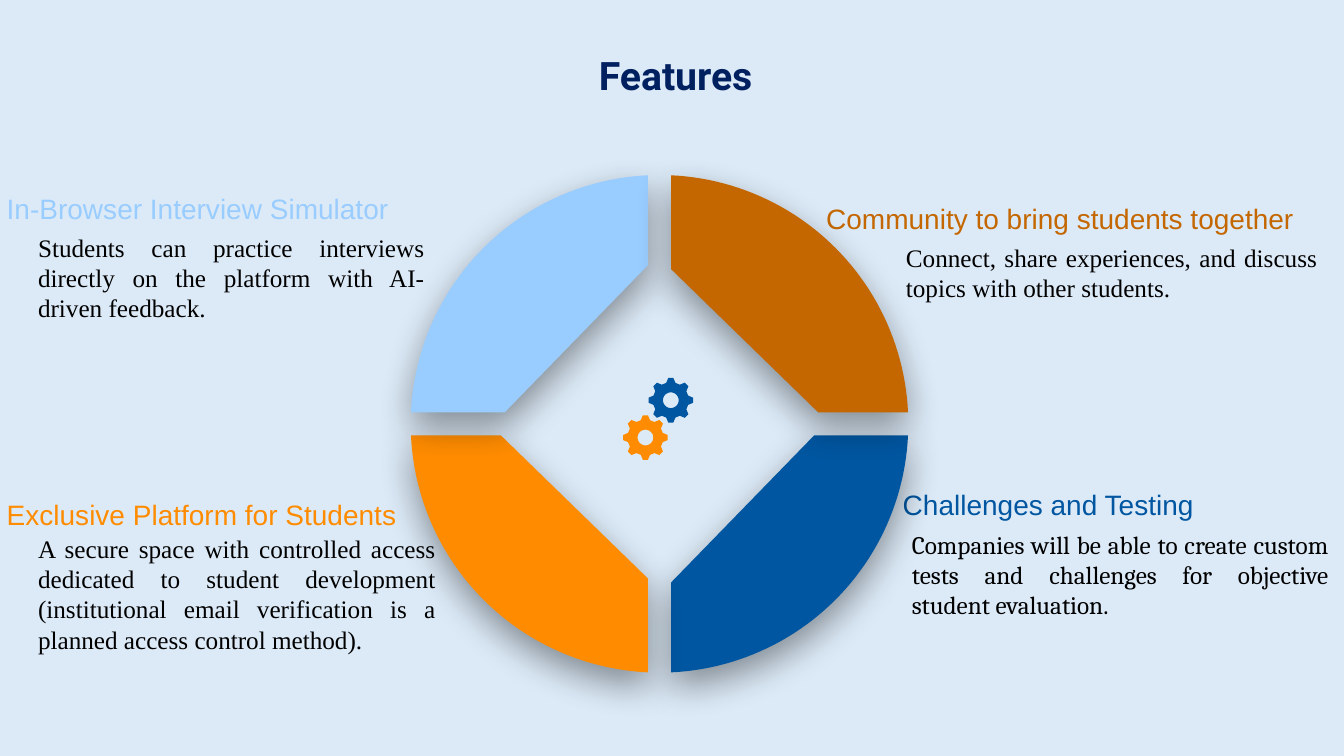
import math
from dataclasses import dataclass

import pptx
import pptx.dml.color
import pptx.enum.text
import pptx.util
from lxml import etree
from pptx.oxml.ns import qn

Cm = pptx.util.Cm
Align = pptx.enum.text.PP_ALIGN


@dataclass(frozen=True)
class Theme:
    background: str = "DCEAF7"
    title: str = "002060"
    text: str = "000000"
    brown: str = "C46700"
    sky: str = "99CCFF"
    orange: str = "FF8C00"
    blue: str = "0056A0"
    title_size: int = 28
    heading_size: int = 20
    body_size: int = 18


THEME = Theme()

# Heading box, then body box as (left, top) offset from it, width and height, in cm
FEATURES = [
    ("Community to bring students together", THEME.brown, (20.57, 4.95, 13.49, 1.12),
     "Connect, share experiences, and discuss topics with other students.",
     "Times New Roman", (2.01, 1.02, 10.87, 1.8)),
    ("In-Browser Interview Simulator", THEME.sky, (-0.08, 4.7, 11.35, 1.12),
     "Students can practice interviews directly on the platform with AI-driven feedback.",
     "Times New Roman", (0.79, 1.02, 10.24, 2.57)),
    ("Exclusive Platform for Students", THEME.orange, (-0.08, 12.4, 11.35, 1.12),
     "A secure space with controlled access dedicated to student development "
     "(institutional email verification is a planned access control method).",
     "Times New Roman", (0.79, 0.91, 10.52, 3.33)),
    ("Challenges and Testing", THEME.blue, (22.5, 12.17, 12.04, 1.12),
     "Companies will be able to create custom tests and challenges "
     "for objective student evaluation.",
     "Cambria", (0.23, 1.04, 11, 2.57)),
]


def rgb(color):
    return pptx.dml.color.RGBColor.from_string(color)


def write_text(shape, text, *, size, font, color, align=Align.LEFT, bold=False):
    frame = shape.text_frame
    frame.word_wrap = True
    frame.auto_size = pptx.enum.text.MSO_AUTO_SIZE.NONE
    frame.vertical_anchor = pptx.enum.text.MSO_ANCHOR.TOP
    paragraph = frame.paragraphs[0]
    paragraph.alignment = align
    run = paragraph.add_run()
    run.text = text
    run.font.size = pptx.util.Pt(size)
    run.font.name = font
    run.font.bold = bold
    run.font.color.rgb = rgb(color)


def add_outline(slide, contours, color):
    """Draw one filled shape from closed contours given in cm."""
    points = [[(Cm(x), Cm(y)) for x, y in contour] for contour in contours]
    builder = slide.shapes.build_freeform(*points[0][0])
    builder.add_line_segments(points[0][1:])
    for contour in points[1:]:
        builder.move_to(*contour[0])
        builder.add_line_segments(contour[1:])
    shape = builder.convert_to_shape()
    shape.fill.solid()
    shape.fill.fore_color.rgb = rgb(color)
    shape.line.fill.background()
    shape.shadow.inherit = False
    return shape


def add_soft_shadow(shape):
    effects = shape._element.spPr.find(qn("a:effectLst"))
    shadow = etree.SubElement(
        effects, qn("a:outerShdw"), blurRad=str(pptx.util.Pt(26)),
        dist=str(pptx.util.Pt(10)), dir="5400000", algn="t", rotWithShape="0")
    black = etree.SubElement(shadow, qn("a:srgbClr"), val="000000")
    etree.SubElement(black, qn("a:alpha"), val="40000")


def draw_title(slide, box):
    title = slide.shapes.title
    title.left, title.top, title.width, title.height = map(Cm, box)
    write_text(title, "Features", size=THEME.title_size, font="Roboto",
               color=THEME.title, align=Align.CENTER, bold=True)


def draw_feature(slide, box, heading, color, body, body_font, body_box):
    left, top = box[:2]
    heading_shape = slide.shapes.add_textbox(*map(Cm, box))
    write_text(heading_shape, heading, size=THEME.heading_size, font="Arial", color=color)
    dx, dy, width, height = body_box
    body_shape = slide.shapes.add_textbox(Cm(left + dx), Cm(top + dy), Cm(width), Cm(height))
    write_text(body_shape, body, size=THEME.body_size, font=body_font,
               color=THEME.text, align=Align.JUSTIFY)


def draw_ring(slide, box):
    """Four quarters of a disc around a diamond opening."""
    left, top, diameter = box
    radius, half_gap, steps = diameter / 2, 0.29, 48
    center_x, center_y = left + radius, top + radius
    start = math.asin(half_gap / radius)
    sweep = math.pi / 2 - 2 * start
    arc = [(radius * math.cos(start + sweep * step / steps),
            radius * math.sin(start + sweep * step / steps)) for step in range(steps + 1)]
    quarters = [(1, 1, THEME.blue), (-1, 1, THEME.orange),
                (-1, -1, THEME.sky), (1, -1, THEME.brown)]
    for side_x, side_y, color in quarters:
        cut_x, cut_y = (3.9, 4) if side_x == side_y else (4, 3.9)
        corners = arc + [(half_gap, cut_y), (cut_x, half_gap)]
        contour = [(center_x + side_x * x, center_y + side_y * y) for x, y in corners]
        add_soft_shadow(add_outline(slide, [contour], color))


def draw_gear(slide, box, color):
    """Eight-toothed gear with a round hole."""
    left, top, diameter = box
    radius = diameter / 2

    def polar(degrees, distance):
        angle = math.radians(degrees)
        return (left + radius + distance * math.cos(angle),
                top + radius + distance * math.sin(angle))

    tooth = [(-15, 0.8), (-6.5, 1), (6.5, 1), (15, 0.8)]
    rim = [polar(45 * index + degrees, radius * share)
           for index in range(8) for degrees, share in tooth]
    hole = [polar(-10 * step, radius * 0.35) for step in range(36)]
    add_outline(slide, [rim, hole], color)


def build_features_slide(presentation):
    slide = presentation.slides.add_slide(presentation.slide_layouts[5])
    slide.background.fill.solid()
    slide.background.fill.fore_color.rgb = rgb(THEME.background)
    # Title
    draw_title(slide, (14.6, 1.17, 4.85, 1.45))
    # Feature texts
    for heading, color, box, body, body_font, body_box in FEATURES:
        draw_feature(slide, box, heading, color, body, body_font, body_box)
    # Ring
    draw_ring(slide, (10.35, 4.41, 12.54))
    # Gears
    draw_gear(slide, (15.7, 10.46, 1.13), THEME.orange)
    draw_gear(slide, (16.34, 9.52, 1.13), THEME.blue)


def main():
    presentation = pptx.Presentation()
    presentation.slide_width, presentation.slide_height = Cm(33.87), Cm(19.05)
    build_features_slide(presentation)
    presentation.save("out.pptx")


if __name__ == "__main__":
    main()
